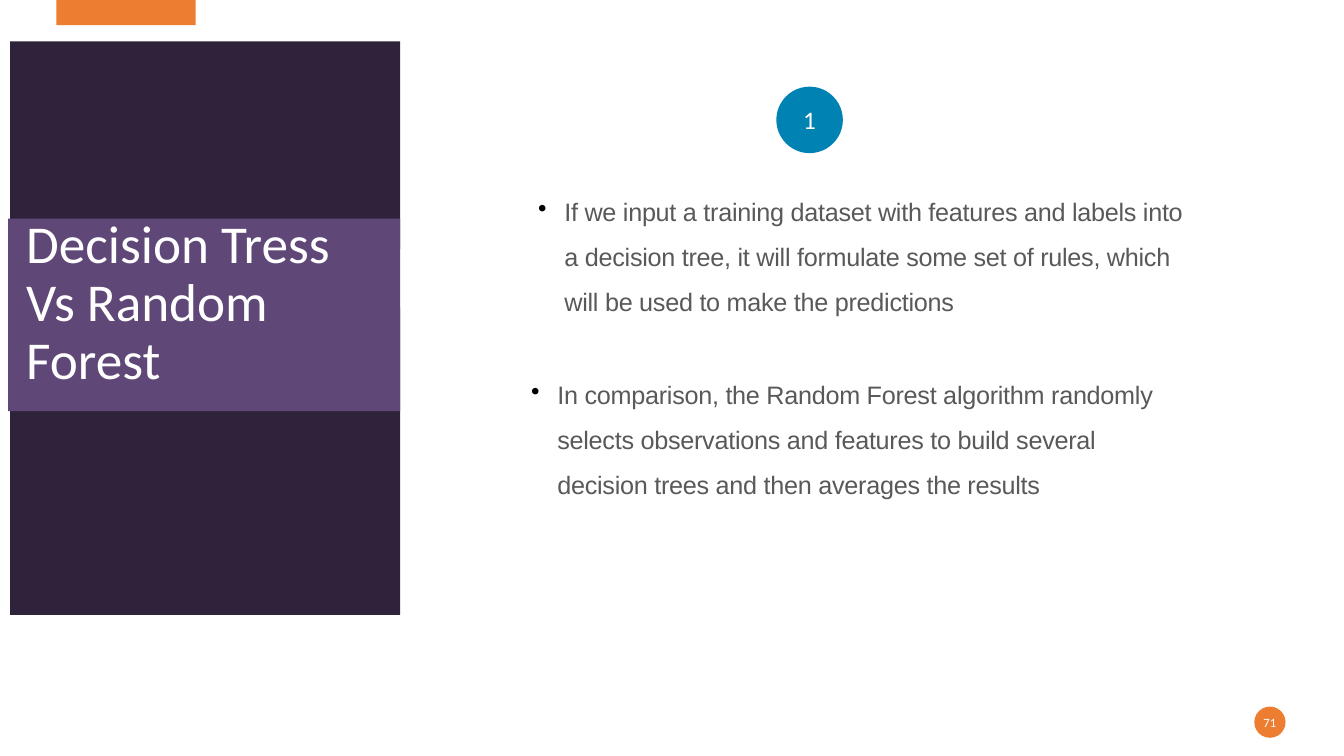
from dataclasses import dataclass

from lxml import etree
from pptx import Presentation
from pptx.dml.color import RGBColor
from pptx.enum.shapes import MSO_SHAPE
from pptx.enum.text import MSO_ANCHOR, PP_ALIGN
from pptx.oxml.ns import qn
from pptx.util import Pt

PX = 9144
RECT, OVAL = MSO_SHAPE.RECTANGLE, MSO_SHAPE.OVAL
TOP, MIDDLE = MSO_ANCHOR.TOP, MSO_ANCHOR.MIDDLE
LEFT, CENTER = PP_ALIGN.LEFT, PP_ALIGN.CENTER


@dataclass(frozen=True)
class Theme:
    accent: str = "ED7D31"
    panel: str = "2F233B"
    band: str = "5F4778"
    badge: str = "0083B3"
    white: str = "FFFFFF"
    body: str = "595959"
    bullet: str = "000000"
    heading_font: str = "Calibri"
    body_font: str = "Arial"
    title_size: int = 38
    text_size: int = 18
    page_size: int = 9
    title_leading: float = 41.3
    body_leading: float = 1.49
    body_tracking: int = -20


THEME = Theme()


def emu(*lengths):
    return [n * PX for n in lengths]


def apply(target, values):
    for name, value in values.items():
        setattr(target, name, value)


def add_block(s, kind, box, fill):
    sp = s.shapes.add_shape(kind, *emu(*box))
    sp.shadow.inherit = False
    sp.fill.solid()
    sp.fill.fore_color.rgb = RGBColor.from_string(fill)
    sp.line.fill.background()
    return sp


def set_frame(tf, anchor, margins=(0, 0), wrap=True):
    x, y = emu(*margins)
    apply(tf, {
        "word_wrap": wrap, "vertical_anchor": anchor,
        "margin_left": x, "margin_right": x,
        "margin_top": y, "margin_bottom": y,
    })


def write(p, text, font, size, color, **layout):
    apply(p, layout)
    r = p.add_run()
    r.text = text
    apply(r.font, {"name": font, "size": Pt(size)})
    r.font.color.rgb = RGBColor.from_string(color)
    return r


def add_badge(s, box, fill, text, size):
    tf = add_block(s, OVAL, box, fill).text_frame
    set_frame(tf, MIDDLE, wrap=False)
    write(tf.paragraphs[0], text, THEME.heading_font, size, THEME.white,
          alignment=CENTER)


def add_title(s, box, text):
    tf = s.shapes.add_textbox(*emu(*box)).text_frame
    set_frame(tf, TOP)
    write(tf.paragraphs[0], text, THEME.heading_font, THEME.title_size,
          THEME.white, alignment=LEFT, line_spacing=Pt(THEME.title_leading))


def add_bullet(s, box, text):
    tf = s.shapes.add_textbox(*emu(*box)).text_frame
    set_frame(tf, TOP, (10, 5))
    p = tf.paragraphs[0]
    pPr = p._p.get_or_add_pPr()
    apply_indent = {"marL": 27, "indent": -26}
    for name, length in apply_indent.items():
        pPr.set(name, str(length * PX))
    color = etree.SubElement(pPr, qn("a:buClr"))
    etree.SubElement(color, qn("a:srgbClr")).set("val", THEME.bullet)
    etree.SubElement(pPr, qn("a:buChar")).set("char", "•")
    r = write(p, text, THEME.body_font, THEME.text_size, THEME.body,
              alignment=LEFT, line_spacing=THEME.body_leading)
    r._r.get_or_add_rPr().set("spc", str(THEME.body_tracking))


def main():
    prs = Presentation()
    prs.slide_width, prs.slide_height = emu(1333, 750)
    s = prs.slides.add_slide(prs.slide_layouts[6])

    add_block(s, RECT, (56, 0, 138, 25), THEME.accent)
    add_badge(s, (1244, 701, 31, 31), THEME.accent, "71", THEME.page_size)

    for top, height in ((41, 206), (305, 305)):
        add_block(s, RECT, (10, top, 387, height), THEME.panel)
    add_block(s, RECT, (8, 217, 389, 191), THEME.band)
    add_title(s, (26, 215, 340, 172), "Decision Tress Vs Random Forest")

    add_badge(s, (770, 86, 66, 66), THEME.badge, "1", THEME.text_size)
    add_bullet(s, (523, 175, 667, 146),
               "If we input a training dataset with features and labels into "
               "a decision tree, it will formulate some set of rules, which "
               "will be used to make the predictions")
    add_bullet(s, (516, 357, 667, 146),
               "In comparison, the Random Forest algorithm randomly selects "
               "observations and features to build several decision trees "
               "and then averages the results")

    prs.save("out.pptx")


if __name__ == "__main__":
    main()
